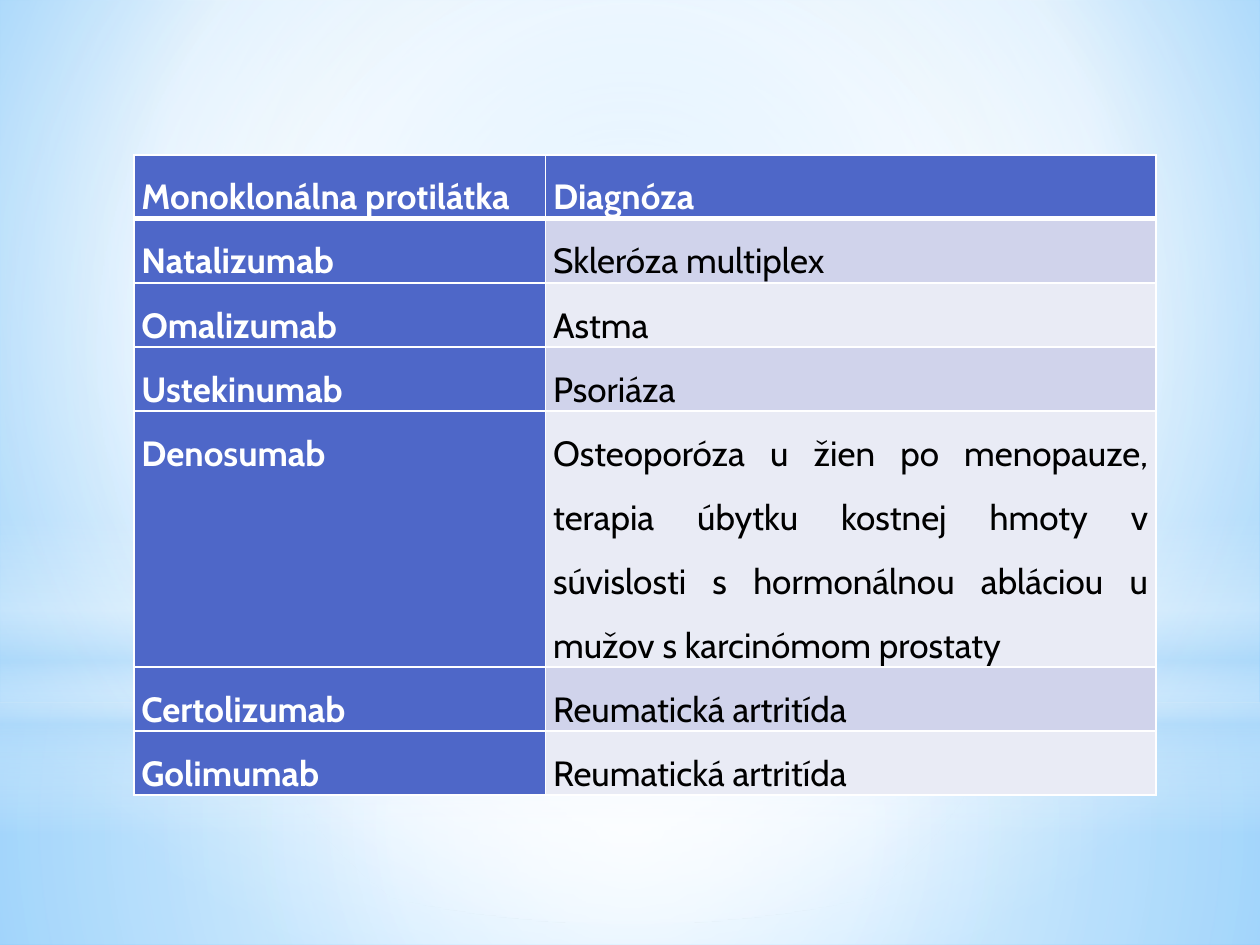
from dataclasses import dataclass
from typing import Optional

from lxml.etree import SubElement
from pptx import Presentation
from pptx.dml.color import RGBColor
from pptx.enum.shapes import MSO_SHAPE
from pptx.enum.text import PP_ALIGN
from pptx.oxml.ns import qn
from pptx.util import Cm, Pt

COLORS = {
    "white": "FFFFFF", "black": "000000", "haze": "B4DCFA",
    "sky": "9ED5FF", "deep": "5BB9FF",
    "head": "4E67C8", "band": "D0D3EB", "light": "E9EBF5",
}
WIDTH, HEIGHT = 25.4, 19.05
HORIZON = 14.17
CENTER = (50, 50, 50, 50)


@dataclass
class Gradient:
    stops: list  # (position %, color name, opacity %)
    center: Optional[tuple] = None  # left, top, right, bottom %; None is vertical


@dataclass
class Glow:
    shape: MSO_SHAPE
    top: float
    height: float
    gradient: Gradient


BACKGROUND = Gradient([(0, "sky", 100), (60, "white", 100), (100, "deep", 100)],
                      (20, 10, 20, 60))
GLOWS = [
    Glow(MSO_SHAPE.RECTANGLE, HORIZON, HEIGHT - HORIZON, Gradient(
        [(0, "white", 91), (37, "white", 76), (100, "haze", 79)], CENTER)),
    Glow(MSO_SHAPE.RECTANGLE, 0, HORIZON, Gradient(
        [(0, "white", 89), (48, "white", 62), (100, "haze", 79)], CENTER)),
    Glow(MSO_SHAPE.RECTANGLE, 10.46, 6.35, Gradient(
        [(0, "white", 0), (29, "white", 30), (45, "haze", 40),
         (55, "white", 26), (65, "haze", 60), (100, "white", 0)])),
    Glow(MSO_SHAPE.OVAL, 4.45, HORIZON, Gradient(
        [(0, "white", 100), (56, "white", 0)], CENTER)),
]
ROWS = [
    ("Monoklonálna protilátka", "Diagnóza"),
    ("Natalizumab", "Skleróza multiplex"),
    ("Omalizumab", "Astma"),
    ("Ustekinumab", "Psoriáza"),
    ("Denosumab", "Osteoporóza u žien po menopauze, terapia úbytku kostnej "
                  "hmoty v súvislosti s hormonálnou abláciou "
                  "u mužov s karcinómom prostaty"),
    ("Certolizumab", "Reumatická artritída"),
    ("Golimumab", "Reumatická artritída"),
]
COL_WIDTHS = (8.3, 12.3)
ROW_HEIGHT, TALL_ROW, TALL_HEIGHT = 1.28, 4, 3.7


def add_color(parent, name: str, opacity: int = 100) -> None:
    clr = SubElement(parent, qn("a:srgbClr"), val=COLORS[name])
    if opacity < 100:
        SubElement(clr, qn("a:alpha"), val=str(opacity * 1000))


def fill_gradient(owner, element, gradient: Gradient) -> None:
    owner.fill.gradient()
    grad = element.xpath(".//a:gradFill")[0]
    for child in list(grad):
        grad.remove(child)
    stops = SubElement(grad, qn("a:gsLst"))
    for pos, name, opacity in gradient.stops:
        add_color(SubElement(stops, qn("a:gs"), pos=str(pos * 1000)), name, opacity)
    if gradient.center is None:
        SubElement(grad, qn("a:lin"), ang="5400000", scaled="0")
    else:
        circle = SubElement(grad, qn("a:path"), path="circle")
        sides = {k: str(v * 1000) for k, v in zip("ltrb", gradient.center)}
        SubElement(circle, qn("a:fillToRect"), **sides)


def add_glow(s, glow: Glow) -> None:
    sp = s.shapes.add_shape(glow.shape, 0, Cm(glow.top), Cm(WIDTH), Cm(glow.height))
    sp.shadow.inherit = False
    sp.line.fill.background()
    fill_gradient(sp, sp.element, glow.gradient)


def write(tf, text: str, *, size: float = 20, color: str = "black",
          bold: bool = False) -> None:
    p = tf.paragraphs[0]
    p.alignment = PP_ALIGN.JUSTIFY
    p.line_spacing = 1.5
    r = p.add_run()
    r.text = text
    r.font.name, r.font.size, r.font.bold = "Cabin", Pt(size), bold
    r.font.color.rgb = RGBColor.from_string(COLORS[color])


def set_borders(cell, widths: dict) -> None:
    tc_pr = cell._tc.get_or_add_tcPr()
    for i, (side, width) in enumerate(widths.items()):
        ln = SubElement(tc_pr, qn(f"a:ln{side}"), w=str(Pt(width)))
        add_color(SubElement(ln, qn("a:solidFill")), "white")
        tc_pr.insert(i, ln)  # borders come before the cell fill


def add_diagnosis_table(s) -> None:
    heights = [TALL_HEIGHT if i == TALL_ROW else ROW_HEIGHT for i in range(len(ROWS))]
    table = s.shapes.add_table(len(ROWS), len(COL_WIDTHS), Cm(2.7), Cm(3.12),
                               Cm(sum(COL_WIDTHS)), Cm(sum(heights))).table
    for col, width in zip(table.columns, COL_WIDTHS):
        col.width = Cm(width)
    for i, texts in enumerate(ROWS):
        table.rows[i].height = Cm(heights[i])
        for j, text in enumerate(texts):
            cell = table.cell(i, j)
            heading = i == 0 or j == 0
            cell.margin_left = cell.margin_right = Cm(0.15)
            cell.margin_top = cell.margin_bottom = 0
            fill = "head" if heading else "band" if i % 2 else "light"
            cell.fill.solid()
            cell.fill.fore_color.rgb = RGBColor.from_string(COLORS[fill])
            set_borders(cell, {"L": 1, "R": 1, "T": 3 if i == 1 else 1,
                               "B": 3 if i == 0 else 1})
            write(cell.text_frame, text, bold=heading,
                  color="white" if heading else "black")


def main() -> None:
    prs = Presentation()
    prs.slide_width, prs.slide_height = Cm(WIDTH), Cm(HEIGHT)
    s = prs.slides.add_slide(prs.slide_layouts[6])
    # Sky background and its soft light
    fill_gradient(s.background, s.element, BACKGROUND)
    for glow in GLOWS:
        add_glow(s, glow)
    # Antibodies and their diagnoses
    add_diagnosis_table(s)
    prs.save("out.pptx")


if __name__ == "__main__":
    main()
